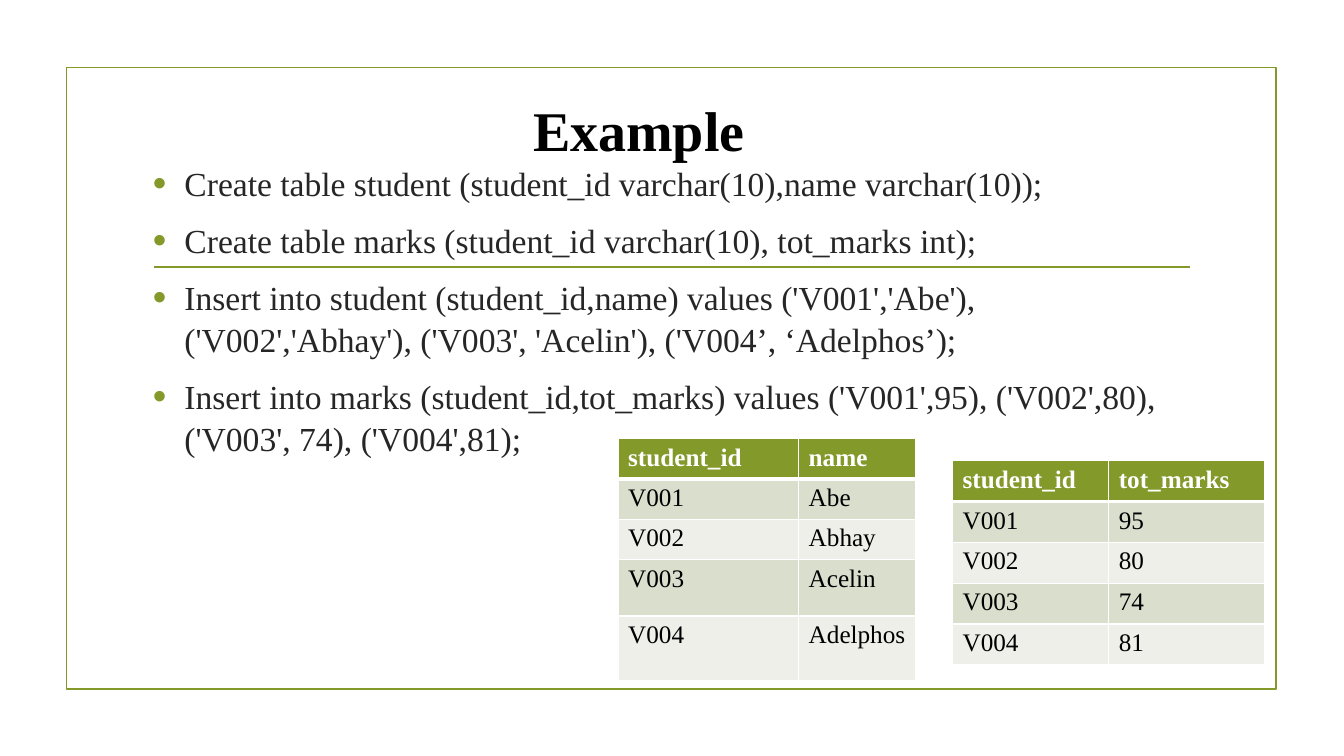
from lxml import etree
from pptx import Presentation
from pptx.dml.color import RGBColor
from pptx.enum.shapes import MSO_CONNECTOR, MSO_SHAPE
from pptx.oxml.ns import qn
from pptx.util import Pt

FONT = "Times New Roman"
GREEN, WHITE, BLACK, GREY = "83992A", "FFFFFF", "000000", "262626"
BANDS = ["D9DECD", "EDEFE8"]

STATEMENTS = [
    "Create table student (student_id varchar(10),name varchar(10));",
    "Create table marks (student_id varchar(10), tot_marks int);",
    "Insert into student (student_id,name) values ('V001','Abe'), "
    "('V002','Abhay'), ('V003', 'Acelin'), ('V004’, ‘Adelphos’);",
    "Insert into marks (student_id,tot_marks) values ('V001',95), "
    "('V002',80), ('V003', 74), ('V004',81);",
]
STUDENTS = [("student_id", "name"), ("V001", "Abe"), ("V002", "Abhay"),
            ("V003", "Acelin"), ("V004", "Adelphos")]
MARKS = [("student_id", "tot_marks"), ("V001", "95"), ("V002", "80"),
         ("V003", "74"), ("V004", "81")]


def rgb(color):
    return RGBColor.from_string(color)


def sub(parent, tag, **attrs):
    return etree.SubElement(parent, qn(tag), attrs)


def set_font(p, size, color, bold=False):
    f = p.font
    f.name, f.size, f.bold = FONT, Pt(size), bold
    f.color.rgb = rgb(color)


def add_text(s, x, y, w, h):
    tf = s.shapes.add_textbox(Pt(x), Pt(y), Pt(w), Pt(h)).text_frame
    tf.word_wrap = True
    return tf


def add_frame(s, x, y, w, h):
    # Border
    sp = s.shapes.add_shape(MSO_SHAPE.RECTANGLE, Pt(x), Pt(y), Pt(w), Pt(h))
    sp.shadow.inherit = False
    sp.fill.background()
    # Divider
    rule_y = Pt(y + 142.6)
    rule = s.shapes.add_connector(MSO_CONNECTOR.STRAIGHT, Pt(x + 62.6), rule_y,
                                  Pt(x + w - 61.2), rule_y)
    sub(rule._element.spPr, "a:effectLst")
    for shape in (sp, rule):
        shape.line.color.rgb = rgb(GREEN)
        shape.line.width = Pt(1.25)


def add_title(s, x, y, w, h, text):
    p = add_text(s, x, y, w, h).paragraphs[0]
    p.text = text
    set_font(p, 40, BLACK, bold=True)


def add_bullets(s, x, y, w, h, items):
    tf = add_text(s, x, y, w, h)
    for i, item in enumerate(items):
        p = tf.add_paragraph() if i else tf.paragraphs[0]
        p.text = item
        set_font(p, 24, GREY)
        p.line_spacing = 1.04
        p.space_before, p.space_after = Pt(4.8), Pt(6)
        pPr = p._p.get_or_add_pPr()
        pPr.set("marL", str(Pt(22.5)))
        pPr.set("indent", str(-Pt(22.5)))
        bullet = [etree.Element(qn(tag)) for tag in
                  ("a:buClr", "a:buSzPct", "a:buFont", "a:buChar")]
        sub(bullet[0], "a:srgbClr", val=GREEN)
        bullet[1].set("val", "115000")
        bullet[2].set("typeface", "Arial")
        bullet[3].set("char", "•")
        # Bullet settings belong before the default run properties
        for element in bullet:
            pPr.find(qn("a:defRPr")).addprevious(element)


def style_cell(cell, text, row):
    header = row == 0
    p = cell.text_frame.paragraphs[0]
    p.text = text
    set_font(p, 18, WHITE if header else BLACK, bold=header)
    # Borders come before the fill; a thick rule divides header and rows
    tcPr = cell._tc.get_or_add_tcPr()
    for side in "LRTB":
        thick = (side, row) in (("B", 0), ("T", 1))
        ln = sub(tcPr, f"a:ln{side}", w=str(Pt(3 if thick else 1)))
        sub(sub(ln, "a:solidFill"), "a:srgbClr", val=WHITE)
    cell.fill.solid()
    cell.fill.fore_color.rgb = rgb(GREEN if header else BANDS[(row - 1) % 2])


def add_data_table(s, x, y, widths, heights, rows):
    table = s.shapes.add_table(len(rows), len(widths), Pt(x), Pt(y),
                               Pt(sum(widths)), Pt(sum(heights))).table
    for column, width in zip(table.columns, widths):
        column.width = Pt(width)
    for r, (values, height) in enumerate(zip(rows, heights)):
        table.rows[r].height = Pt(height)
        for c, value in enumerate(values):
            style_cell(table.cell(r, c), value, r)


def main():
    prs = Presentation()
    prs.slide_width, prs.slide_height = Pt(960), Pt(540)
    s = prs.slides.add_slide(prs.slide_layouts[6])
    add_frame(s, 47.5, 48.2, 864, 444)
    add_bullets(s, 102.2, 111.6, 756, 351.4, STATEMENTS)
    add_data_table(s, 441.5, 313.2, [129, 83.6], [27.2, 27.2, 27.2, 40.3, 46.4],
                   STUDENTS)
    add_data_table(s, 680.4, 329, [111.6] * 2, [29.2] * 5, MARKS)
    add_title(s, 373.7, 64.8, 213, 55.4, "Example")
    prs.save("out.pptx")


if __name__ == "__main__":
    main()
